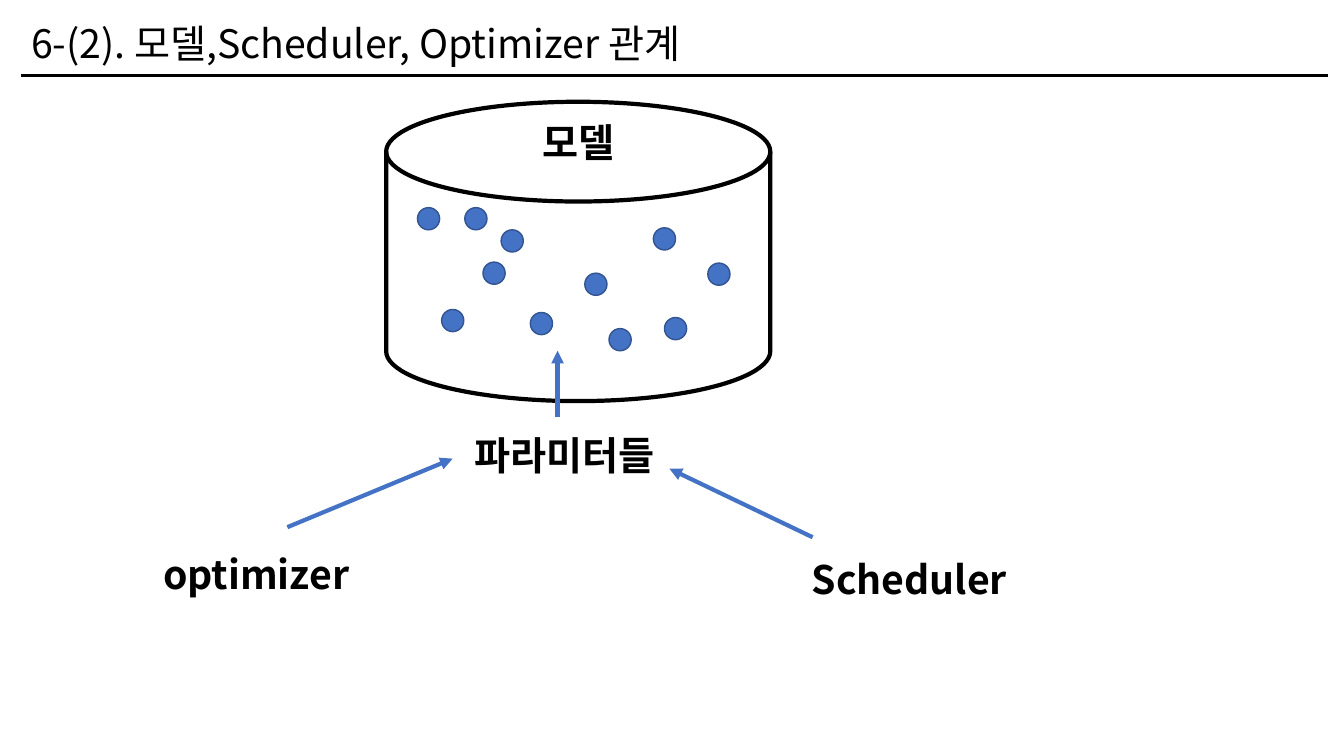
import pptx
import pptx.chart.data
import pptx.dml.color
import pptx.enum.shapes
import pptx.enum.text
import pptx.oxml
import pptx.util
from pptx.oxml import ns

COLUMNS, ROWS = 1333, 750
CELL = pptx.util.Inches(0.01)
BLACK, BLUE, DARK_BLUE = "000000", "4472C4", "325491"

TITLE = ("6-(2). 모델,Scheduler, Optimizer 관계", (21, 11, 713, 64))
TITLE_RULE = ((21, 75), (1317, 75))
MODEL = (383, 101, 381, 297)
MODEL_LABEL = ("모델", (516, 112, 115, 57))
DOT = 22
PARAMETERS = [
    (31, 105), (78, 105), (114, 127), (197, 170), (265, 125), (96, 159),
    (276, 214), (319, 160), (143, 209), (221, 225), (55, 206),
]
LABEL_SIZE = (226, 57)
LABELS = [("파라미터들", (447, 423)), ("optimizer", (141, 541)), ("Scheduler", (789, 546))]
ARROWS = [((553, 414), (553, 348)), ((285, 523), (449, 455)), ((806, 533), (664, 465))]
FONT = {"name": "Noto Sans CJK KR", "size": pptx.util.Pt(28)}


def cells(*counts):
    """Turn grid cells into slide lengths."""
    return [count * CELL for count in counts]


def color(value):
    """Read a hex colour."""
    return pptx.dml.color.RGBColor.from_string(value)


def outline(line, value, width):
    """Set the colour and width of a line."""
    line.color.rgb = color(value)
    line.width = pptx.util.Pt(width)


def add_text(shapes, text, box, align, anchor, bold):
    """Add one line of text in a box."""
    frame = shapes.add_textbox(*cells(*box)).text_frame
    for key, value in {"word_wrap": True, "vertical_anchor": anchor}.items():
        setattr(frame, key, value)
    paragraph = frame.paragraphs[0]
    paragraph.alignment = align
    run = paragraph.add_run()
    run.text = text
    for key, value in {**FONT, "bold": bold}.items():
        setattr(run.font, key, value)
    run.font.color.rgb = color(BLACK)
    fonts = run.font._element
    east_asian = pptx.oxml.parse_xml(f'<a:ea {ns.nsdecls("a")} typeface="{FONT["name"]}"/>')
    fonts.find(ns.qn("a:latin")).addnext(east_asian)


def add_label(shapes, text, box):
    """Add a bold centred label."""
    add_text(shapes, text, box, pptx.enum.text.PP_ALIGN.CENTER, pptx.enum.text.MSO_ANCHOR.TOP, True)


def add_preset(shapes, kind, box, fill, line, width):
    """Add an outlined preset shape, filled if a fill is given."""
    shape = shapes.add_shape(kind, *cells(*box))
    shape.shadow.inherit = False
    if fill:
        shape.fill.solid()
        shape.fill.fore_color.rgb = color(fill)
    else:
        shape.fill.background()
    outline(shape.line, line, width)


def add_line(shapes, ends, value, width, arrow=False):
    """Add a straight line, with an arrowhead at its end if asked."""
    straight = pptx.enum.shapes.MSO_CONNECTOR.STRAIGHT
    connector = shapes.add_connector(straight, *cells(*ends[0], *ends[1]))
    outline(connector.line, value, width)
    if arrow:
        head = pptx.oxml.parse_xml(f'<a:tailEnd {ns.nsdecls("a")} type="triangle"/>')
        connector.line._get_or_add_ln().append(head)
    no_shadow = pptx.oxml.parse_xml(f'<a:effectLst {ns.nsdecls("a")}/>')
    connector._element.spPr.append(no_shadow)


def main():
    """Build the slide and save it."""
    deck = pptx.Presentation()
    deck.slide_width, deck.slide_height = cells(COLUMNS, ROWS)
    shapes = deck.slides.add_slide(deck.slide_layouts[6]).shapes
    add_line(shapes, TITLE_RULE, BLACK, 2.25)
    add_text(shapes, *TITLE, pptx.enum.text.PP_ALIGN.LEFT, pptx.enum.text.MSO_ANCHOR.MIDDLE, False)

    preset = pptx.enum.shapes.MSO_SHAPE
    model = shapes.add_group_shape().shapes
    add_preset(model, preset.FLOWCHART_MAGNETIC_DISK, MODEL, None, BLACK, 3)
    add_label(model, *MODEL_LABEL)
    for across, down in PARAMETERS:
        dot = (MODEL[0] + across, MODEL[1] + down, DOT, DOT)
        add_preset(model, preset.OVAL, dot, BLUE, DARK_BLUE, 1)

    for ends in ARROWS:
        add_line(shapes, ends, BLUE, 3, arrow=True)
    for text, corner in LABELS:
        add_label(shapes, text, corner + LABEL_SIZE)
    deck.save("out.pptx")


if __name__ == "__main__":
    main()
